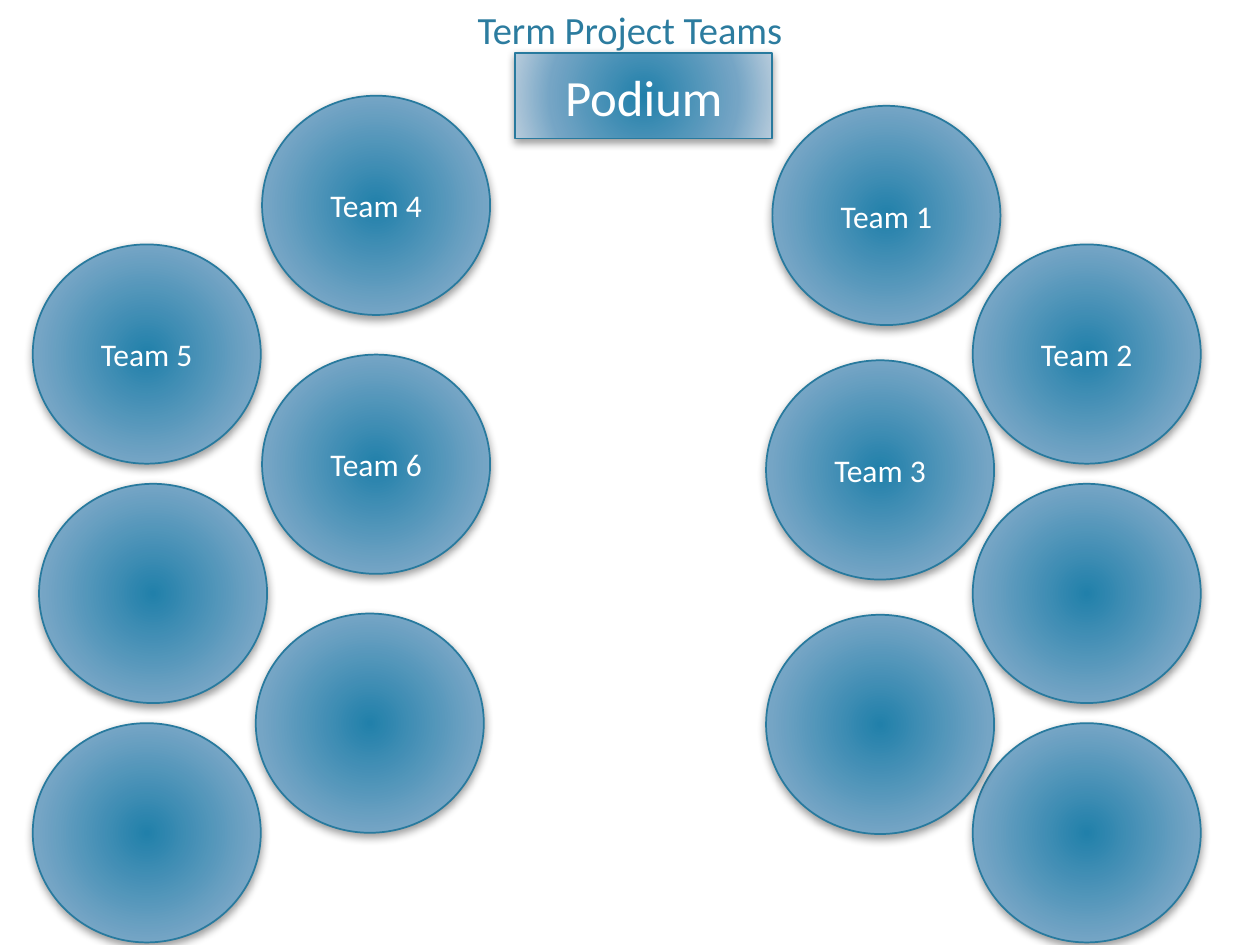
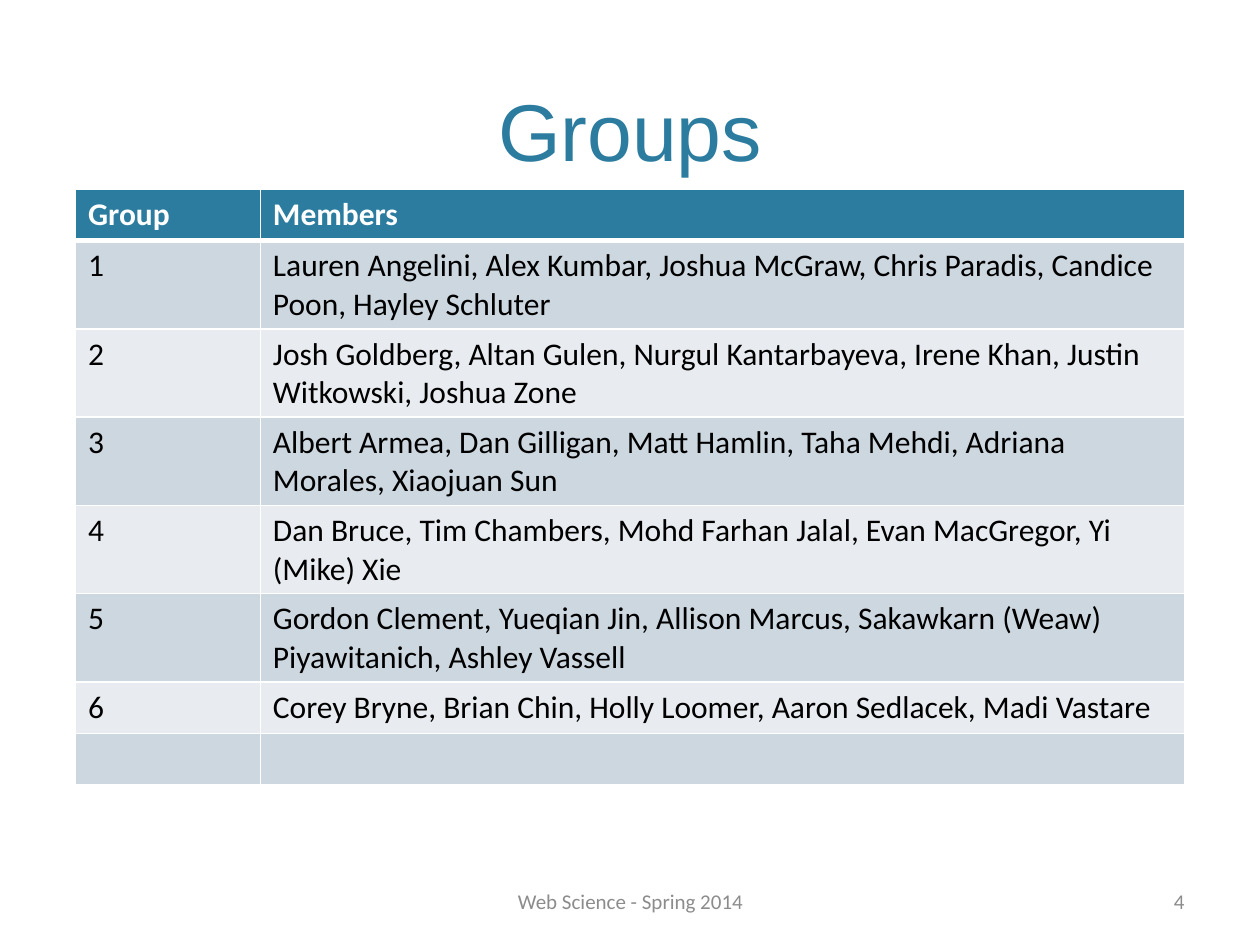
from dataclasses import dataclass

from pptx import Presentation
from pptx.dml.color import RGBColor
from pptx.enum.shapes import MSO_SHAPE as Shape
from pptx.enum.text import MSO_ANCHOR as Anchor, PP_ALIGN as Align
from pptx.oxml import parse_xml
from pptx.oxml.ns import nsdecls
from pptx.util import Emu, Inches, Pt

TEAL, OUTLINE, WHITE, BLACK, GREY = "2C7C9F", "287A9E", "FFFFFF", "000000", "8C8C8C"
BANDS = ("CDD7DF", "E8ECF0")
GLOW = ((0, "2180AA"), (69, "75A5C5"), (100, "B8CCDC"))
BODY_FONT, HEADING_FONT = "Calibri", "Arial"

SEAT_SIZE = (18.1, 23.2)
LEFT_INNER = (10.13, 27.4, (20.8, 20.8, 20.3), ("Team 4", "Team 6", ""))
LEFT_OUTER = (25.87, 25.33, (2.6, 3.1, 2.6), ("Team 5", "", ""))
RIGHT_INNER = (11.2, 26.93, (61.3, 60.8, 60.8), ("Team 1", "Team 3", ""))
RIGHT_OUTER = (25.87, 25.33, (77.2, 77.2, 77.2), ("Team 2", "", ""))

MEMBERS = (
    "Lauren Angelini, Alex Kumbar, Joshua McGraw, Chris Paradis, Candice Poon, Hayley Schluter",
    "Josh Goldberg, Altan Gulen, Nurgul Kantarbayeva, Irene Khan, Justin Witkowski, Joshua Zone",
    "Albert Armea, Dan Gilligan, Matt Hamlin, Taha Mehdi, Adriana Morales, Xiaojuan Sun",
    "Dan Bruce, Tim Chambers, Mohd Farhan Jalal, Evan MacGregor, Yi (Mike) Xie",
    "Gordon Clement, Yueqian Jin, Allison Marcus, Sakawkarn (Weaw) Piyawitanich, Ashley Vassell",
    "Corey Bryne, Brian Chin, Holly Loomer, Aaron Sedlacek, Madi Vastare",
)


@dataclass
class Box:
    """A rectangle on the slide."""
    left: int
    top: int
    width: int
    height: int

    def area(self, left, top, width, height):
        """Return an inner box given in percent of this one."""
        return Box(Emu(round(self.left + self.width * left / 100)),
                   Emu(round(self.top + self.height * top / 100)),
                   Emu(round(self.width * width / 100)),
                   Emu(round(self.height * height / 100)))

    def bounds(self):
        """Return left, top, width and height."""
        return self.left, self.top, self.width, self.height


def rgb(code):
    """Turn a hex string into a colour."""
    return RGBColor.from_string(code)


def write(frame, text, size=18, color=BLACK, font=BODY_FONT, bold=False,
          align=Align.LEFT, anchor=Anchor.TOP):
    """Write one formatted paragraph into a text frame."""
    frame.word_wrap = True
    frame.vertical_anchor = anchor
    line = frame.paragraphs[0]
    line.alignment = align
    line.font.size = Pt(size)
    if text:
        run = line.add_run()
        run.text = text
        run.font.size, run.font.name, run.font.bold = Pt(size), font, bold
        run.font.color.rgb = rgb(color)


def add_label(slide, box, text, **style):
    """Add a text box."""
    write(slide.shapes.add_textbox(*box.bounds()).text_frame, text, **style)


def add_title(slide, box, text, size, font):
    """Add a centred title standing on the bottom of its box."""
    add_label(slide, box, text, size=size, font=font, color=TEAL,
              align=Align.CENTER, anchor=Anchor.BOTTOM)


def add_glowing(slide, kind, box, text, size):
    """Add a shape with a radial gradient and a soft shadow."""
    shape = slide.shapes.add_shape(kind, *box.bounds())
    shape.line.color.rgb = rgb(OUTLINE)
    shape.line.width = Pt(1)
    stops = "".join(f'<a:gs pos="{share * 1000}"><a:srgbClr val="{color}"/></a:gs>'
                    for share, color in GLOW)
    properties = shape.element.spPr
    properties.insert(2, parse_xml(
        f'<a:gradFill {nsdecls("a")} rotWithShape="1"><a:gsLst>{stops}</a:gsLst>'
        '<a:path path="circle"><a:fillToRect l="100000" t="100000" r="100000" b="100000"/>'
        '</a:path></a:gradFill>'))
    properties.append(parse_xml(
        f'<a:effectLst {nsdecls("a")}><a:outerShdw blurRad="{Pt(5)}" dist="{Pt(2)}" '
        f'dir="5400000" rotWithShape="0"><a:srgbClr val="{BLACK}"><a:alpha val="40000"/>'
        '</a:srgbClr></a:outerShdw></a:effectLst>'))
    if text:
        write(shape.text_frame, text, size=size, color=WHITE,
              align=Align.CENTER, anchor=Anchor.MIDDLE)


def add_seat(slide, room, column, row):
    """Add one round team table of a seating column."""
    first, step, lefts, teams = column
    seat = room.area(lefts[row], first + step * row, *SEAT_SIZE)
    add_glowing(slide, Shape.OVAL, seat, teams[row], 18)


def build_seating(slide, page):
    """Place the podium and the team tables on both sides of the room."""
    add_title(slide, page.area(5, -10.53, 90, 16.67), "Term Project Teams", 22, BODY_FONT)
    add_glowing(slide, Shape.RECTANGLE, page.area(40.9, 5.6, 20.4, 9.07), "Podium", 29)
    for row in reversed(range(3)):
        for column in (LEFT_OUTER, LEFT_INNER, RIGHT_OUTER, RIGHT_INNER):
            add_seat(slide, page, column, row)


def add_borders(cell, top, bottom):
    """Draw white borders round a cell."""
    properties = cell._tc.get_or_add_tcPr()
    for side, width in (("L", 1), ("R", 1), ("T", top), ("B", bottom)):
        properties.append(parse_xml(
            f'<a:ln{side} {nsdecls("a")} w="{Pt(width)}"><a:solidFill>'
            f'<a:srgbClr val="{WHITE}"/></a:solidFill></a:ln{side}>'))


def add_group_table(slide, box):
    """Add the table of groups with a header and banded rows."""
    rows = [("Group", "Members")]
    rows += [(str(number), names) for number, names in enumerate(MEMBERS, 1)]
    rows.append(("", ""))
    table = slide.shapes.add_table(len(rows), 2, *box.bounds()).table
    table.horz_banding = False
    for column, share in zip(table.columns, (1 / 6, 5 / 6)):
        column.width = Emu(round(box.width * share))
    for index, texts in enumerate(rows):
        table.rows[index].height = Inches(0.41)
        header = index == 0
        for cell, text in zip(table.rows[index].cells, texts):
            add_borders(cell, top=3 if index == 1 else 1, bottom=3 if header else 1)
            cell.fill.solid()
            cell.fill.fore_color.rgb = rgb(TEAL if header else BANDS[(index - 1) % 2])
            write(cell.text_frame, text, color=WHITE if header else BLACK, bold=header)


def add_footer(slide, band):
    """Add the course name and the page number."""
    style = dict(size=12, color=GREY, anchor=Anchor.MIDDLE)
    add_label(slide, band.area(34.2, 0, 31.7, 100), "Web Science - Spring 2014",
              align=Align.CENTER, **style)
    add_label(slide, band.area(71.7, 0, 23.3, 100), "4", align=Align.RIGHT, **style)


def build_groups(slide, page):
    """Place the title, the group table and the footer."""
    add_title(slide, page.area(6, 0, 88, 19.47), "Groups", 46, HEADING_FONT)
    add_group_table(slide, page.area(6, 20, 88, 43.73))
    add_footer(slide, page.area(0, 92.67, 100, 5.33))


def main():
    """Build and save the presentation."""
    deck = Presentation()
    deck.slide_width, deck.slide_height = Inches(10), Inches(7.5)
    page = Box(0, 0, deck.slide_width, deck.slide_height)
    for build in (build_seating, build_groups):
        build(deck.slides.add_slide(deck.slide_layouts[6]), page)
    deck.save("out.pptx")


if __name__ == "__main__":
    main()
